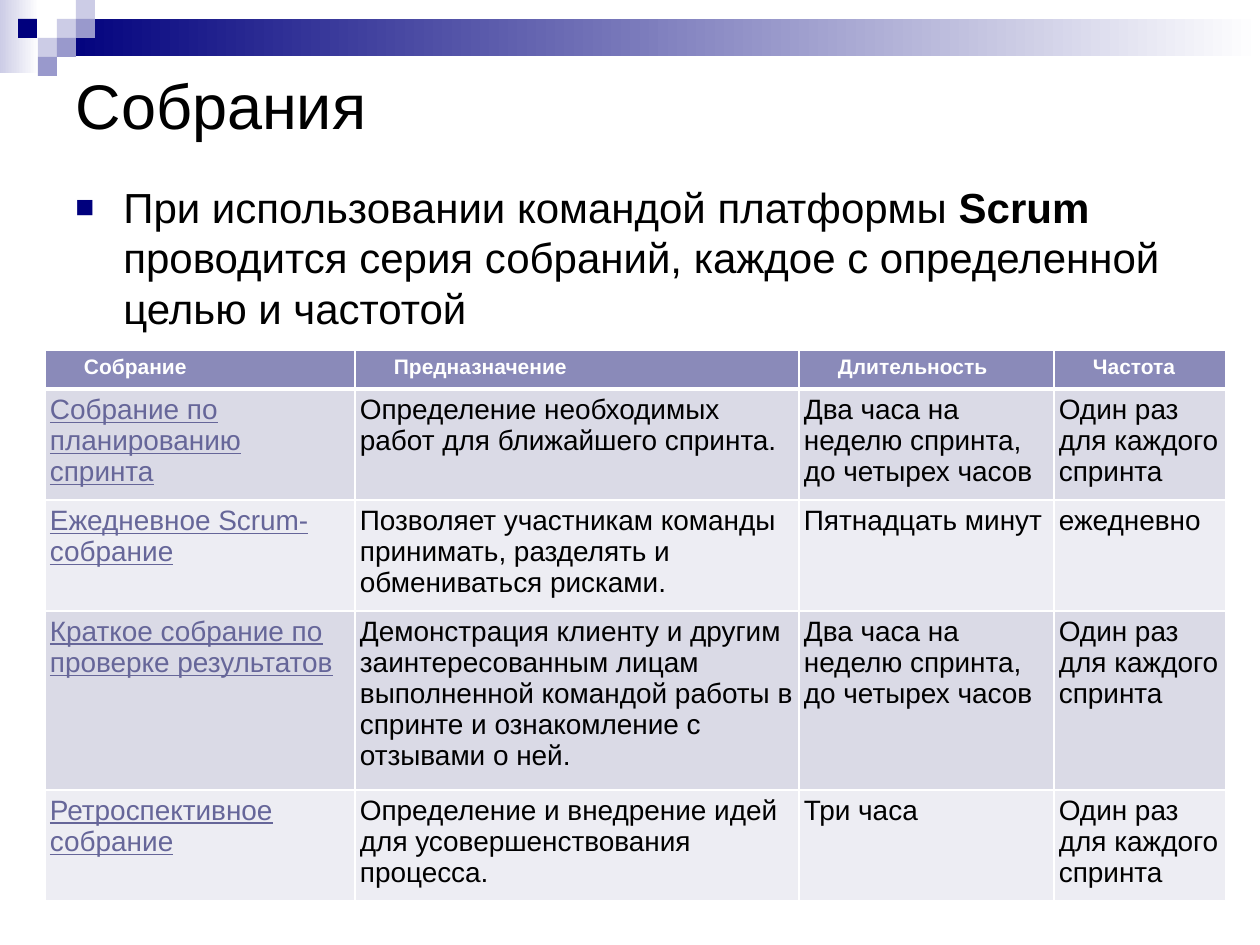
import pptx
import pptx.util
import pptx.dml.color
import pptx.enum.shapes
import pptx.enum.text
import pptx.oxml
import pptx.oxml.ns

RGB = pptx.dml.color.RGBColor
ALIGN = pptx.enum.text.PP_ALIGN
ANCHOR = pptx.enum.text.MSO_ANCHOR
NAVY = RGB(0x00, 0x00, 0x7D)
LILAC = RGB(0xCC, 0xCC, 0xE6)
VIOLET = RGB(0x99, 0x99, 0xCC)
WHITE = RGB(0xFF, 0xFF, 0xFF)
BLACK = RGB(0x00, 0x00, 0x00)
LINK = RGB(0x66, 0x66, 0x99)
HEAD = RGB(0x8A, 0x8A, 0xB9)
BANDS = [RGB(0xDA, 0xDA, 0xE6), RGB(0xED, 0xED, 0xF3)]

# Content
TITLE = "Собрания"
LEAD = [
    ("При использовании командой платформы ", False),
    ("Scrum", True),
    (" проводится серия собраний, каждое с определенной целью и частотой", False),
]
HOURS = "Два часа на неделю спринта, до четырех часов"
ONCE = "Один раз для каждого спринта"
ROWS = [
    ("Собрание", "Предназначение", "Длительность", "Частота"),
    ("Собрание по планированию спринта",
     "Определение необходимых работ для ближайшего спринта.", HOURS, ONCE),
    ("Ежедневное Scrum-собрание",
     "Позволяет участникам команды принимать, разделять и обмениваться рисками.",
     "Пятнадцать минут", "ежедневно"),
    ("Краткое собрание по проверке результатов",
     "Демонстрация клиенту и другим заинтересованным лицам выполненной командой "
     "работы в спринте и ознакомление с отзывами о ней.", HOURS, ONCE),
    ("Ретроспективное собрание",
     "Определение и внедрение идей для усовершенствования процесса.",
     "Три часа", ONCE),
]
WIDTHS = [310, 444, 255, 172]
HEIGHTS = [39, 111, 111, 179, 111]

# Decor: gradient bars, then small squares as left, top, colour
BARS = [((0, 0, 39, 73), LILAC), ((57, 19, 1203, 37), NAVY)]
TILE = 19
TILES = [
    (57, 19, LILAC), (76, 0, LILAC), (76, 19, VIOLET), (38, 38, LILAC),
    (18, 19, NAVY), (57, 38, VIOLET), (38, 57, VIOLET),
]


def px(n):
    return pptx.util.Emu(round(n * 914400 / 126))


def box(*sides):
    return [px(n) for n in sides]


def put(item, values):
    for name, value in values.items():
        setattr(item, name, value)


def write(para, text, size, color, **style):
    run = para.add_run()
    run.text = text
    put(run.font, dict(name="Arial", size=pptx.util.Pt(size), **style))
    run.font.color.rgb = color


def rect(slide, sides):
    shape = slide.shapes.add_shape(
        pptx.enum.shapes.MSO_SHAPE.RECTANGLE, *box(*sides))
    shape.shadow.inherit = False
    shape.line.fill.background()
    return shape


def edge(cell, side, points):
    line = pptx.oxml.parse_xml(
        f'<a:ln{side} {pptx.oxml.ns.nsdecls("a")} w="{points * 12700}">'
        f'<a:solidFill><a:srgbClr val="{WHITE}"/></a:solidFill></a:ln{side}>')
    cell._tc.get_or_add_tcPr().append(line)


def add_decor(slide):
    for sides, color in BARS:
        fill = rect(slide, sides).fill
        fill.gradient()
        fill.gradient_angle = 0
        for stop, tone, place in zip(fill.gradient_stops, (color, WHITE), (0, 1)):
            stop.color.rgb = tone
            stop.position = place
    for left, top, color in TILES:
        fill = rect(slide, (left, top, TILE, TILE)).fill
        fill.solid()
        fill.fore_color.rgb = color


def add_title(slide):
    title = slide.shapes.title
    put(title, dict(zip(("left", "top", "width", "height"), box(63, 63, 1134, 82))))
    put(title.text_frame, dict(
        vertical_anchor=ANCHOR.MIDDLE, word_wrap=True,
        auto_size=pptx.enum.text.MSO_AUTO_SIZE.NONE))
    para = title.text_frame.paragraphs[0]
    para.alignment = ALIGN.LEFT
    write(para, TITLE, 36, BLACK)


def add_lead(slide):
    frame = slide.shapes.add_textbox(*box(63, 175, 1134, 169)).text_frame
    frame.word_wrap = True
    para = frame.paragraphs[0]
    para.space_before = pptx.util.Pt(4.8)
    for text, bold in LEAD:
        write(para, text, 24, BLACK, bold=bold)
    # Square bullet with a hanging indent
    props = para._p.get_or_add_pPr()
    props.set("marL", str(px(48)))
    props.set("indent", str(px(-48)))
    ns = pptx.oxml.ns.nsdecls("a")
    for part in (
        f'<a:buClr {ns}><a:srgbClr val="{NAVY}"/></a:buClr>',
        f'<a:buSzPct {ns} val="75000"/>',
        f'<a:buFont {ns} typeface="Arial"/>',
        f'<a:buChar {ns} char="■"/>',
    ):
        props.append(pptx.oxml.parse_xml(part))


def add_table(slide):
    table = slide.shapes.add_table(
        len(ROWS), len(WIDTHS),
        *box(45, 350, sum(WIDTHS), sum(HEIGHTS))).table
    for col, width in zip(table.columns, WIDTHS):
        col.width = px(width)
    for row, height in zip(table.rows, HEIGHTS):
        row.height = px(height)
    for r, texts in enumerate(ROWS):
        for c, text in enumerate(texts):
            cell = table.cell(r, c)
            for side in ("left", "right", "top", "bottom"):
                setattr(cell, "margin_" + side, px(5))
            # Borders: the rule under the header is thicker
            for side, thick in (("L", False), ("R", False),
                                ("T", r == 1), ("B", r == 0)):
                edge(cell, side, 3 if thick else 1)
            cell.fill.solid()
            cell.fill.fore_color.rgb = BANDS[(r - 1) % 2] if r else HEAD
            para = cell.text_frame.paragraphs[0]
            para.space_after = pptx.util.Pt(6)
            if r == 0:
                para.alignment = ALIGN.JUSTIFY
                para._p.get_or_add_pPr().set("indent", str(px(34)))
                write(para, text, 12, WHITE, bold=True)
            else:
                write(para, text, 16, BLACK if c else LINK,
                      bold=False, underline=c == 0)


def main():
    deck = pptx.Presentation()
    put(deck, dict(slide_width=px(1260), slide_height=px(945)))
    slide = deck.slides.add_slide(deck.slide_layouts[5])
    for add in (add_decor, add_title, add_lead, add_table):
        add(slide)
    deck.save("out.pptx")


if __name__ == "__main__":
    main()
